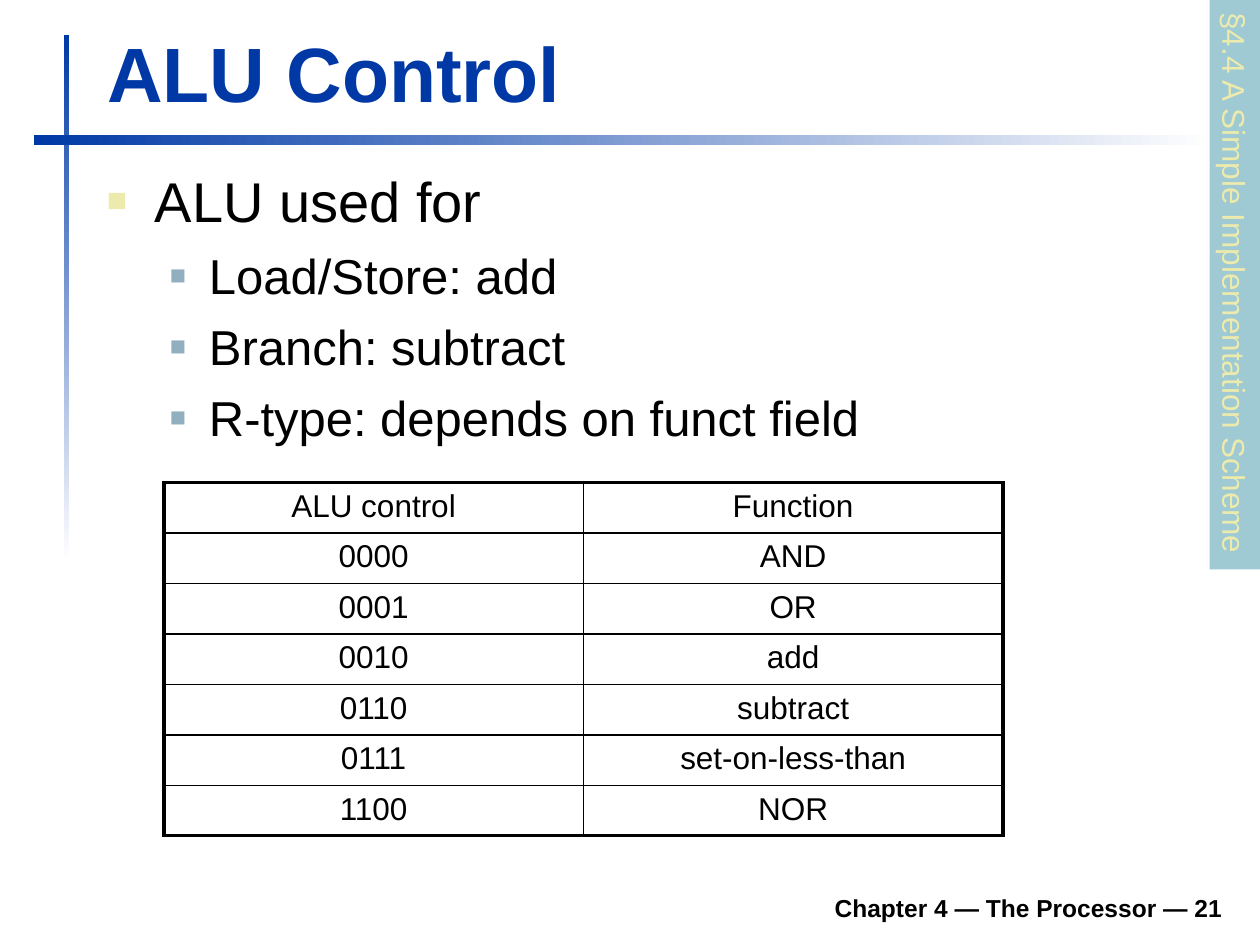
from lxml import etree
from pptx import Presentation
from pptx.dml.color import RGBColor
from pptx.enum.shapes import MSO_SHAPE
from pptx.enum.text import MSO_ANCHOR, MSO_AUTO_SIZE, PP_ALIGN
from pptx.oxml.ns import qn
from pptx.util import Inches, Pt

RECT = MSO_SHAPE.RECTANGLE
LEFT, CENTER, RIGHT = PP_ALIGN.LEFT, PP_ALIGN.CENTER, PP_ALIGN.RIGHT
TOP, BOTTOM = MSO_ANCHOR.TOP, MSO_ANCHOR.BOTTOM
FONT = "Arial"
COLORS = {"blue": "0039A6", "white": "FFFFFF", "black": "000000",
          "cream": "ECEAAC", "slate": "91AFBF", "teal": "9FCAD3"}

TITLE = "ALU Control"
SECTION = "§4.4 A Simple Implementation Scheme"
FOOTER = "Chapter 4 — The Processor — 21"
BULLETS = [(0, "ALU used for"), (1, "Load/Store: add"),
           (1, "Branch: subtract"), (1, "R-type: depends on funct field")]
# Per level: left margin, hanging indent, bullet colour, bullet size %, text size
LEVELS = [(0.38, 0.38, "cream", 60, 32), (0.81, 0.31, "slate", 55, 28)]
FUNCTIONS = [("ALU control", "Function"), ("0000", "AND"), ("0001", "OR"),
             ("0010", "add"), ("0110", "subtract"),
             ("0111", "set-on-less-than"), ("1100", "NOR")]
# Left, top, width, height, gradient angle (counter-clockwise)
BARS = [(0.51, 0.28, 0.04, 4.17, 270), (0.27, 1.07, 9.37, 0.08, 0)]
COL_W, ROW_H = 3.33, 0.4
OUTER, HEADER, INNER = 2.25, 1.5, 1


def rgb(name):
    return RGBColor.from_string(COLORS[name])


def place(shape, *box):
    shape.left, shape.top, shape.width, shape.height = map(Inches, box)


def format_paragraph(p, size, color="black", bold=False, align=LEFT):
    p.alignment = align
    for r in p.runs:
        r.font.name, r.font.size, r.font.bold = FONT, Pt(size), bold
        r.font.color.rgb = rgb(color)


def add_rect(s, *box):
    shape = s.shapes.add_shape(RECT, *map(Inches, box))
    shape.shadow.inherit = False
    shape.line.fill.background()
    return shape


def add_bullet(p, margin, indent, color, percent):
    pPr = p._p.get_or_add_pPr()
    pPr.set("marL", str(Inches(margin)))
    pPr.set("indent", str(-Inches(indent)))
    bu_color = etree.SubElement(pPr, qn("a:buClr"))
    etree.SubElement(bu_color, qn("a:srgbClr"), val=COLORS[color])
    etree.SubElement(pPr, qn("a:buSzPct"), val=str(percent * 1000))
    etree.SubElement(pPr, qn("a:buFont"), typeface=FONT)
    etree.SubElement(pPr, qn("a:buChar"), char="■")


def set_borders(cell, widths):
    """Widths in points, in the order left, right, top, bottom."""
    tcPr = cell._tc.get_or_add_tcPr()
    for i, (side, width) in enumerate(zip("LRTB", widths)):
        ln = etree.Element(qn(f"a:ln{side}"), w=str(Pt(width)))
        fill = etree.SubElement(ln, qn("a:solidFill"))
        etree.SubElement(fill, qn("a:srgbClr"), val=COLORS["black"])
        tcPr.insert(i, ln)


def add_bars(s):
    for *box, angle in BARS:
        bar = add_rect(s, *box)
        bar.fill.gradient()
        bar.fill.gradient_angle = angle
        for stop, color, pos in zip(bar.fill.gradient_stops,
                                    ("blue", "white"), (0, 1)):
            stop.color.rgb, stop.position = rgb(color), pos


def add_title(s):
    title = s.shapes.title
    place(title, 0.75, 0.16, 9.03, 0.83)
    tf = title.text_frame
    tf.text = TITLE
    tf.vertical_anchor = BOTTOM
    tf.auto_size = MSO_AUTO_SIZE.SHAPE_TO_FIT_TEXT
    format_paragraph(tf.paragraphs[0], 44, "blue", bold=True)


def add_footer(s):
    tf = s.shapes.add_textbox(*map(Inches, (1.85, 6.98, 7.95, 0.39))).text_frame
    tf.word_wrap = True
    tf.vertical_anchor = BOTTOM
    tf.text = FOOTER
    format_paragraph(tf.paragraphs[0], 14, bold=True, align=RIGHT)


def add_body(s):
    tf = s.shapes.add_textbox(*map(Inches, (0.75, 1.23, 9.05, 2.6))).text_frame
    tf.word_wrap = True
    tf.margin_top = Inches(0.09)
    tf.text = "\n".join(text for _, text in BULLETS)
    for i, (p, (level, _)) in enumerate(zip(tf.paragraphs, BULLETS)):
        *bullet, size = LEVELS[level]
        p.level = level
        if i:
            p.space_before = Pt(7)
        add_bullet(p, *bullet)
        format_paragraph(p, size)


def add_section_tab(s):
    tab = add_rect(s, 7.54, 2.06, 4.52, 0.4)
    tab.rotation = 90
    tab.fill.solid()
    tab.fill.fore_color.rgb = rgb("teal")
    tf = tab.text_frame
    tf.word_wrap = False
    tf.auto_size = MSO_AUTO_SIZE.SHAPE_TO_FIT_TEXT
    tf.vertical_anchor = TOP
    tf.text = SECTION
    format_paragraph(tf.paragraphs[0], 18, "cream")


def add_function_table(s):
    rows, cols = len(FUNCTIONS), len(FUNCTIONS[0])
    box = (1.3, 3.83, COL_W * cols, ROW_H * rows)
    table = s.shapes.add_table(rows, cols, *map(Inches, box)).table
    table.first_row = table.horz_banding = False
    across = [OUTER] + [INNER] * (cols - 1) + [OUTER]
    down = [OUTER, HEADER] + [INNER] * (rows - 2) + [OUTER]
    for i, values in enumerate(FUNCTIONS):
        table.rows[i].height = Inches(ROW_H)
        for j, value in enumerate(values):
            cell = table.cell(i, j)
            cell.text = value
            cell.fill.background()
            format_paragraph(cell.text_frame.paragraphs[0], 18, align=CENTER)
            set_borders(cell, across[j:j + 2] + down[i:i + 2])


def main():
    prs = Presentation()
    prs.slide_width, prs.slide_height = Inches(10), Inches(7.5)
    s = prs.slides.add_slide(prs.slide_layouts[5])
    add_bars(s)
    add_footer(s)
    add_title(s)
    add_body(s)
    add_section_tab(s)
    add_function_table(s)
    prs.save("out.pptx")


if __name__ == "__main__":
    main()
